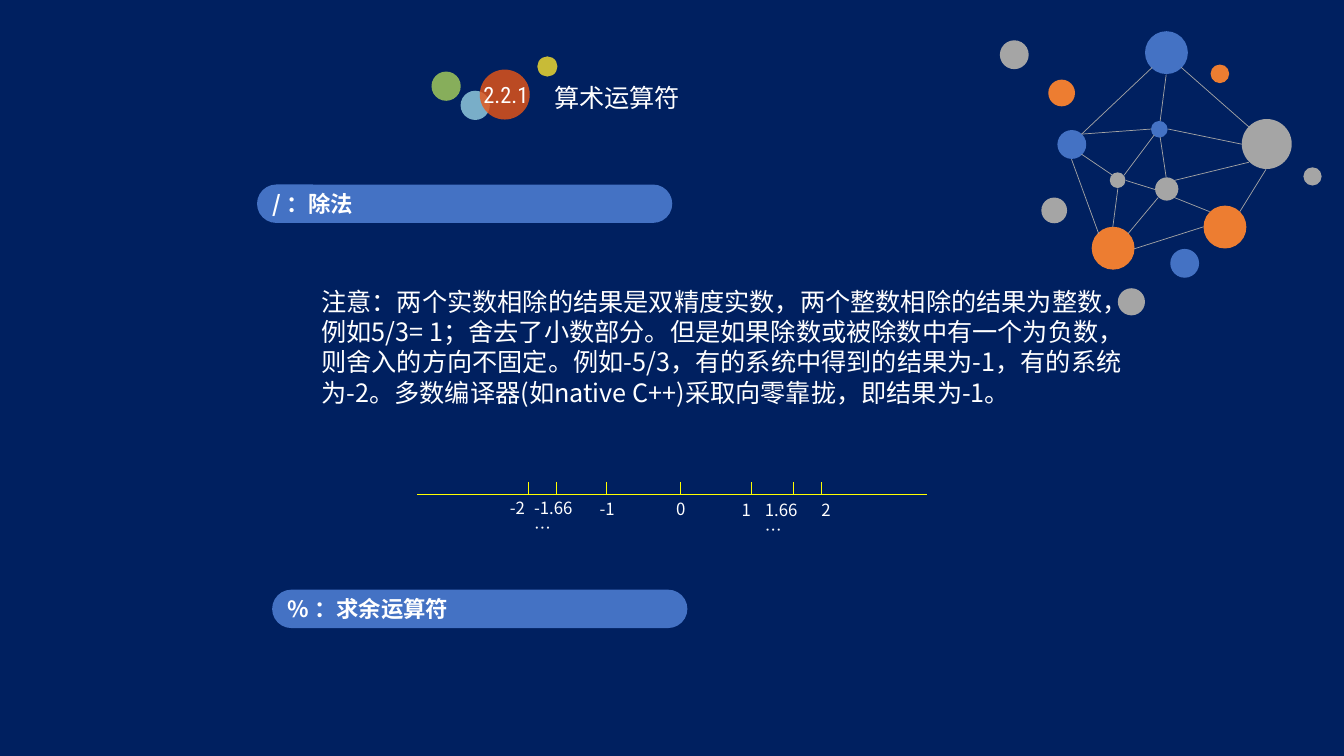
from lxml.etree import SubElement
from pptx import Presentation
from pptx.dml.color import RGBColor
from pptx.enum.shapes import MSO_CONNECTOR, MSO_SHAPE
from pptx.enum.text import MSO_ANCHOR, PP_ALIGN
from pptx.oxml.ns import qn
from pptx.util import Pt

NAVY = RGBColor(0x00, 0x20, 0x60)
WHITE = RGBColor(0xFF, 0xFF, 0xFF)
BRIGHT_YELLOW = RGBColor(0xFF, 0xFF, 0x00)
BLUE = RGBColor(0x44, 0x72, 0xC4)
ORANGE = RGBColor(0xED, 0x7D, 0x31)
GRAY = RGBColor(0xA5, 0xA5, 0xA5)
LEMON = RGBColor(0xFB, 0xE2, 0x2D)
GREEN = RGBColor(0xA9, 0xD2, 0x5A)
SKY = RGBColor(0x98, 0xD2, 0xE3)
RED = RGBColor(0xEA, 0x55, 0x14)

CJK_FONT = "Noto Sans CJK SC"
NUMBER_FONT = "Roboto Condensed"

NOTE = (
    "注意：两个实数相除的结果是双精度实数，两个整数相除的结果为整数，"
    "例如5/3= 1；舍去了小数部分。但是如果除数或被除数中有一个为负数，"
    "则舍入的方向不固定。例如-5/3，有的系统中得到的结果为-1，有的系统为-2。"
    "多数编译器(如native C++)采取向零靠拢，即结果为-1。"
)

AXIS_Y = 352.8
TICK_HEIGHT = 8.6
TICKS = [377.3, 397.4, 433.4, 486, 536.4, 566.6, 586.8]
TICK_LABELS = [
    ("-2", 357.1, 352.1, 27.4),
    ("-1.66…", 374.4, 352.1, 51.1),
    ("-1", 421.2, 352.8, 27.4),
    ("0", 475.9, 352.8, 20.9),
    ("1", 522.7, 353.5, 20.9),
    ("1.66…", 539.3, 353.5, 44.6),
    ("2", 579.6, 353.5, 20.9),
]

BADGE_DOTS = [
    (383.8, 40.3, 14.4, LEMON),
    (308.2, 51.1, 20.9, GREEN),
    (329, 64.8, 20.9, SKY),
    (342.7, 49.7, 35.7, RED),
]

NETWORK_DOTS = [
    (817.9, 22.3, 30.6, BLUE),
    (779.8, 162, 30.6, ORANGE),
    (825.1, 126.7, 16.6, GRAY),
    (755.3, 92.9, 20.6, BLUE),
    (864.7, 46.1, 13.3, ORANGE),
    (887, 85, 35.7, GRAY),
    (822.2, 86.4, 11.9, BLUE),
    (859.7, 146.9, 30.6, ORANGE),
    (792.7, 123.1, 11.2, GRAY),
    (835.9, 177.8, 20.6, BLUE),
    (748.8, 56.9, 19.1, ORANGE),
    (714.2, 28.8, 20.6, GRAY),
    (798.5, 205.9, 19.4, GRAY),
    (743.8, 141.1, 18.4, GRAY),
    (931, 119.5, 13, GRAY),
]

NETWORK_LINKS = [
    (843.8, 48.2, 892.1, 90.7),
    (838.8, 128.9, 892.1, 115.9),
    (885.6, 151.2, 904.3, 121),
    (805.7, 167, 827.3, 141.1),
    (772.6, 95.8, 823, 48.2),
    (828.7, 86.4, 833, 53.3),
    (887, 103, 834.5, 92.2),
    (828.7, 97.9, 833, 126.7),
    (838.8, 141.1, 864, 151.2),
    (772.6, 95.8, 822.2, 92.2),
    (765.4, 113.8, 784.8, 167),
    (772.6, 110.2, 794.9, 125.3),
    (802.8, 125.3, 824.4, 96.5),
    (804.2, 128.9, 825.1, 135.4),
    (794.9, 162, 798.5, 134.6),
    (810, 177.8, 859.7, 162),
]


def write(shape, text, size, font=CJK_FONT, bold=False, align=PP_ALIGN.LEFT, wrap=False):
    frame = shape.text_frame
    frame.word_wrap = wrap
    frame.text = text
    para = frame.paragraphs[0]
    para.alignment = align
    para.line_spacing = Pt(size * 1.2)
    span = para.runs[0]
    span.font.size = Pt(size)
    span.font.bold = bold
    span.font.color.rgb = WHITE
    span.font.name = font
    SubElement(span.font._element, qn("a:ea")).set("typeface", font)


def add_text(page, text, left, top, width, height, size, **style):
    box = page.shapes.add_textbox(Pt(left), Pt(top), Pt(width), Pt(height))
    write(box, text, size, **style)
    return box


def add_filled(shapes, kind, left, top, width, height, color):
    shape = shapes.add_shape(kind, Pt(left), Pt(top), Pt(width), Pt(height))
    shape.shadow.inherit = False
    shape.fill.solid()
    shape.fill.fore_color.rgb = color
    shape.line.fill.background()
    return shape


def add_dot(shapes, left, top, diameter, color):
    return add_filled(shapes, MSO_SHAPE.OVAL, left, top, diameter, diameter, color)


def add_line(shapes, x1, y1, x2, y2, color):
    line = shapes.add_connector(MSO_CONNECTOR.STRAIGHT, Pt(x1), Pt(y1), Pt(x2), Pt(y2))
    line.line.color.rgb = color
    line.line.width = Pt(0.5)
    SubElement(line._element.spPr, qn("a:effectLst"))


def add_pill(page, text, left, top):
    pill = add_filled(page.shapes, MSO_SHAPE.ROUNDED_RECTANGLE, left, top, 296.6, 27.4, BLUE)
    pill.adjustments[0] = 0.5
    write(pill, text, 16, bold=True)
    pill.text_frame.vertical_anchor = MSO_ANCHOR.MIDDLE


def add_number_line(page):
    add_line(page.shapes, 298.1, AXIS_Y, 662.4, AXIS_Y, BRIGHT_YELLOW)
    for x in TICKS:
        add_line(page.shapes, x, AXIS_Y - TICK_HEIGHT, x, AXIS_Y, BRIGHT_YELLOW)
    for text, left, top, width in TICK_LABELS:
        add_text(page, text, left, top, width, 21.6, 12, wrap="…" in text)


def add_badge(page):
    for left, top, diameter, color in BADGE_DOTS:
        dot = add_dot(page.shapes, left, top, diameter, color)
        color_element = dot._element.spPr.find(qn("a:solidFill"))[0]
        SubElement(color_element, qn("a:alpha")).set("val", "80000")
    number = add_text(page, "2.2.1", 343.4, 58.3, 36, 19.4, 16,
                      font=NUMBER_FONT, align=PP_ALIGN.CENTER, wrap=True)
    frame = number.text_frame
    frame.margin_left = frame.margin_right = frame.margin_top = frame.margin_bottom = 0


def add_network(page):
    network = page.shapes.add_group_shape()
    for dot in NETWORK_DOTS:
        add_dot(network.shapes, *dot)
    for link in NETWORK_LINKS:
        add_line(network.shapes, *link, GRAY)


def main():
    deck = Presentation()
    deck.slide_width = Pt(960)
    deck.slide_height = Pt(540)
    page = deck.slides.add_slide(deck.slide_layouts[6])
    page.background.fill.solid()
    page.background.fill.fore_color.rgb = NAVY

    add_text(page, "算术运算符", 388.8, 55.4, 105.1, 28.8, 18)
    add_text(page, NOTE, 222.5, 200.9, 587.5, 94.3, 18, wrap=True)
    add_number_line(page)
    add_badge(page)
    add_pill(page, "/ ：除法", 183.6, 131.8)
    add_pill(page, "% ：求余运算符", 194.4, 421.2)
    add_network(page)
    deck.save("out.pptx")


if __name__ == "__main__":
    main()
